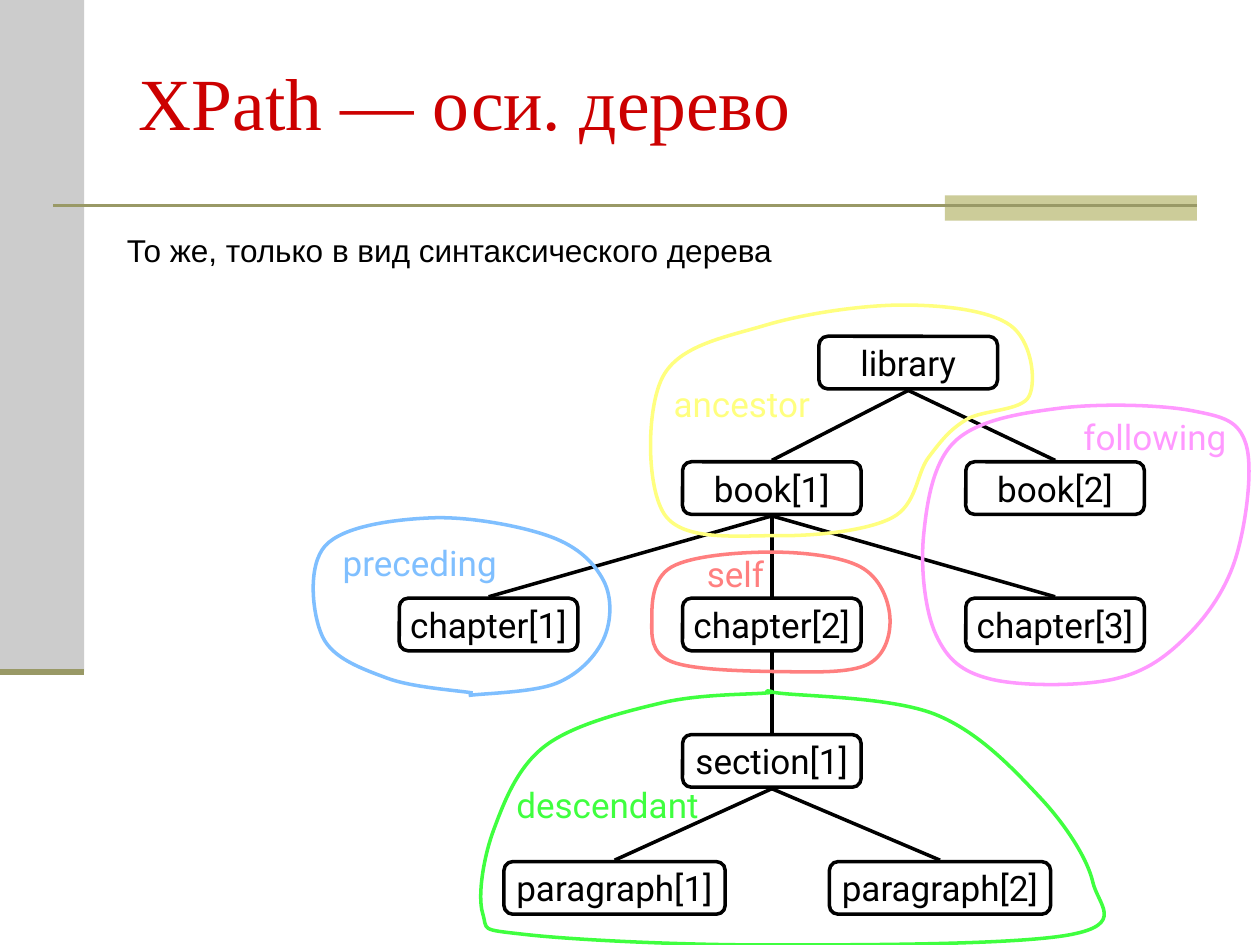
from lxml import etree
from pptx import Presentation
from pptx.dml.color import RGBColor
from pptx.enum.shapes import MSO_CONNECTOR, MSO_SHAPE
from pptx.enum.text import MSO_ANCHOR, MSO_AUTO_SIZE, PP_ALIGN
from pptx.oxml.ns import qn
from pptx.util import Cm, Pt

RECT, ROUND = MSO_SHAPE.RECTANGLE, MSO_SHAPE.ROUNDED_RECTANGLE
STRAIGHT = MSO_CONNECTOR.STRAIGHT
MIDDLE = MSO_ANCHOR.MIDDLE
NO_FIT, GROW = MSO_AUTO_SIZE.NONE, MSO_AUTO_SIZE.SHAPE_TO_FIT_TEXT
LEFT, CENTER = PP_ALIGN.LEFT, PP_ALIGN.CENTER

COLORS = {
    "black": "000000", "title": "CC0000", "panel": "CCCCCC",
    "khaki": "CCCC99", "olive": "999966", "self": "FF7F7F",
    "ancestor": "FFFF7F", "descendant": "3FFF3F",
    "preceding": "7FBFFF", "following": "FF99FF",
}

NODE_H, LINE_GAP = 1.06, 0.03
COLUMNS = [1.8 + 5.71 * i for i in range(3)]
ROWS = [0, 2.53, 5.28, 8.03, 10.59]

# name: (centre x, row, width, parent)
NODES = {
    "library": (10.26, 0, 3.6, None),
    "book[1]": (COLUMNS[1], 1, 3.6, "library"),
    "book[2]": (COLUMNS[2], 1, 3.6, "library"),
    "chapter[1]": (COLUMNS[0], 2, 3.6, "book[1]"),
    "chapter[2]": (COLUMNS[1], 2, 3.6, "book[1]"),
    "chapter[3]": (COLUMNS[2], 2, 3.6, "book[1]"),
    "section[1]": (COLUMNS[1], 3, 3.6, "chapter[2]"),
    "paragraph[1]": (4.34, 4, 4.46, "section[1]"),
    "paragraph[2]": (10.9, 4, 4.46, "section[1]"),
}

# name: (region origin, label left/top/width, closed, outline points)
AXES = {
    "self": ((13.11, 11.13), (0.89, -0.11, 1.68), True, [
        (2.64, 2.41), (4.39, 2.26), (4.83, 1.3), (4.24, 0.3),
        (2.44, 0), (0.43, 0.3), (0.03, 1.37), (0.43, 2.21)]),
    "ancestor": ((13.03, 6.15), (0.3, 1.44, 3.81), True, [
        (2.64, 4.65), (4.95, 4.29), (5.69, 3.07), (6.45, 2.31), (7.72, 1.83),
        (7.34, 0.41), (5.18, 0), (2.39, 0.41), (0.33, 1.45), (0.38, 4.24)]),
    "descendant": ((9.63, 13.89), (0.53, 1.78, 4.88), True, [
        (6.05, 0.08), (5.82, 0.08), (3.71, 0.28), (1.37, 1.14),
        (0.33, 2.82), (0.1, 4.52), (0.97, 4.95), (5.82, 5.16),
        (11.96, 4.95), (12.4, 3.89), (11.33, 2.18), (9.22, 0.51)]),
    "preceding": ((6.2, 10.39), (0.46, 0.41, 3.86), False, [
        (3.25, 3.63), (5.03, 3.38), (5.97, 2.49), (5.97, 1.32), (4.9, 0.43),
        (2.51, 0.05), (0.36, 0.61), (0.3, 2.44), (1.6, 3.28), (3.33, 3.58)]),
    "following": ((18.57, 8.15), (3.02, 0.1, 3.81), True, [
        (2.79, 0.08), (0.69, 0.74), (0.05, 2.64), (0.3, 4.65), (1.4, 5.54),
        (3.89, 5.54), (5.38, 4.65), (6.35, 3.07), (6.55, 0.81), (5.46, 0.13)]),
}


def rgb(name):
    """Return the named colour."""
    return RGBColor.from_string(COLORS[name])


def style_text(tf, text, font, size, color, align=LEFT):
    """Write one formatted paragraph into a text frame."""
    tf.text = text
    p = tf.paragraphs[0]
    p.alignment = align
    f = p.runs[0].font
    f.name, f.size, f.color.rgb = font, Pt(size), rgb(color)


def style_outline(sp, color):
    """Give a shape a plain outline without fill or shadow."""
    sp.shadow.inherit = False
    sp.fill.background()
    sp.line.color.rgb, sp.line.width = rgb(color), Pt(2)


def add_label(s, x, y, w, h, text, font, size, color):
    """Add a single-line text box."""
    tf = s.shapes.add_textbox(Cm(x), Cm(y), Cm(w), Cm(h)).text_frame
    tf.word_wrap, tf.auto_size = False, GROW
    style_text(tf, text, font, size, color)


def add_line(s, start, end, color="black", width=2):
    """Draw a straight line without a shadow."""
    line = s.shapes.add_connector(STRAIGHT, *map(Cm, start + end))
    line.line.color.rgb, line.line.width = rgb(color), Pt(width)
    etree.SubElement(line._element.spPr, qn("a:effectLst"))


def add_bar(s, x, y, w, h, color):
    """Add a plain filled rectangle."""
    sp = s.shapes.add_shape(RECT, Cm(x), Cm(y), Cm(w), Cm(h))
    sp.shadow.inherit = False
    sp.fill.solid()
    sp.fill.fore_color.rgb = rgb(color)
    sp.line.fill.background()


def add_frame(s, w):
    """Draw the side panel and the rule below the title."""
    panel_w, panel_h, rule_y, right = 1.7, 13.54, 4.14, w - 1.27
    add_bar(s, 0, 0, panel_w, panel_h, "panel")
    add_bar(s, right - 5.08, 3.94, 5.08, 0.51, "khaki")
    add_line(s, (1.07, rule_y), (right, rule_y), "olive", 1.5)
    add_line(s, (0, panel_h), (panel_w, panel_h), "olive", 3.5)


def add_title(s, x, y, w, h, text):
    """Place and format the title placeholder."""
    sp = s.shapes.title
    sp.left, sp.top, sp.width, sp.height = Cm(x), Cm(y), Cm(w), Cm(h)
    tf = sp.text_frame
    tf.vertical_anchor, tf.auto_size = MIDDLE, NO_FIT
    style_text(tf, text, "Times New Roman", 42, "title")


def add_tree(s, x, y):
    """Draw the document tree from its top left corner."""
    group = s.shapes.add_group_shape()
    for name, (cx, row, w, parent) in NODES.items():
        top = y + ROWS[row]
        sp = group.shapes.add_shape(
            ROUND, Cm(x + cx - w / 2), Cm(top), Cm(w), Cm(NODE_H))
        style_outline(sp, "black")
        tf = sp.text_frame
        tf.word_wrap, tf.vertical_anchor = False, MIDDLE
        style_text(tf, name, "Roboto", 20, "black", CENTER)
        if parent:
            parent_x, parent_row = NODES[parent][:2]
            bottom = y + ROWS[parent_row] + NODE_H
            add_line(group, (x + parent_x, bottom + LINE_GAP),
                     (x + cx, top - LINE_GAP))


def smooth_outline(sp, closed):
    """Turn the straight segments of a freeform into smooth curves."""
    nodes = list(sp._element.iter(qn("a:pt")))
    pts = [(int(pt.get("x")), int(pt.get("y"))) for pt in nodes]
    ring = ([pts[-2]] + pts + [pts[1]] if closed
            else pts[:1] + pts + pts[-1:])
    for i, segment in enumerate(list(sp._element.iter(qn("a:lnTo")))):
        before, start, end, after = ring[i:i + 4]
        lead = [p + (q - o) / 6 for o, p, q in zip(before, start, end)]
        trail = [q - (r - p) / 6 for p, q, r in zip(start, end, after)]
        segment.tag_name = None
        curve = etree.Element(qn("a:cubicBezTo"))
        for px, py in (lead, trail, end):
            etree.SubElement(curve, qn("a:pt"),
                             x=str(round(px)), y=str(round(py)))
        segment.getparent().replace(segment, curve)


def add_axis(s, name, origin, label, closed, points):
    """Draw one labelled axis region from its top left corner."""
    x, y = origin
    group = s.shapes.add_group_shape()
    outline = [(Cm(x + px), Cm(y + py)) for px, py in points]
    if closed:
        outline.append(outline[0])
    builder = group.shapes.build_freeform(*outline[0])
    builder.add_line_segments(outline[1:], close=closed)
    sp = builder.convert_to_shape()
    smooth_outline(sp, closed)
    style_outline(sp, name)
    dx, dy, w = label
    add_label(group, x + dx, y + dy, w, 1.12, name, "Roboto", 20, name)


def main():
    """Build the slide and save it."""
    prs = Presentation()
    prs.slide_width, prs.slide_height = Cm(25.4), Cm(19.05)
    s = prs.slides.add_slide(prs.slide_layouts[5])
    add_frame(s, 25.4)
    add_title(s, 2.54, 0.76, 21.59, 2.54, "XPath — оси. дерево")
    add_tree(s, 8.05, 6.78)
    for name, region in AXES.items():
        add_axis(s, name, *region)
    add_label(s, 2.31, 4.53, 13.59, 1.02,
              "То же, только в вид синтаксического дерева",
              "Arial", 18, "black")
    prs.save("out.pptx")


if __name__ == "__main__":
    main()
